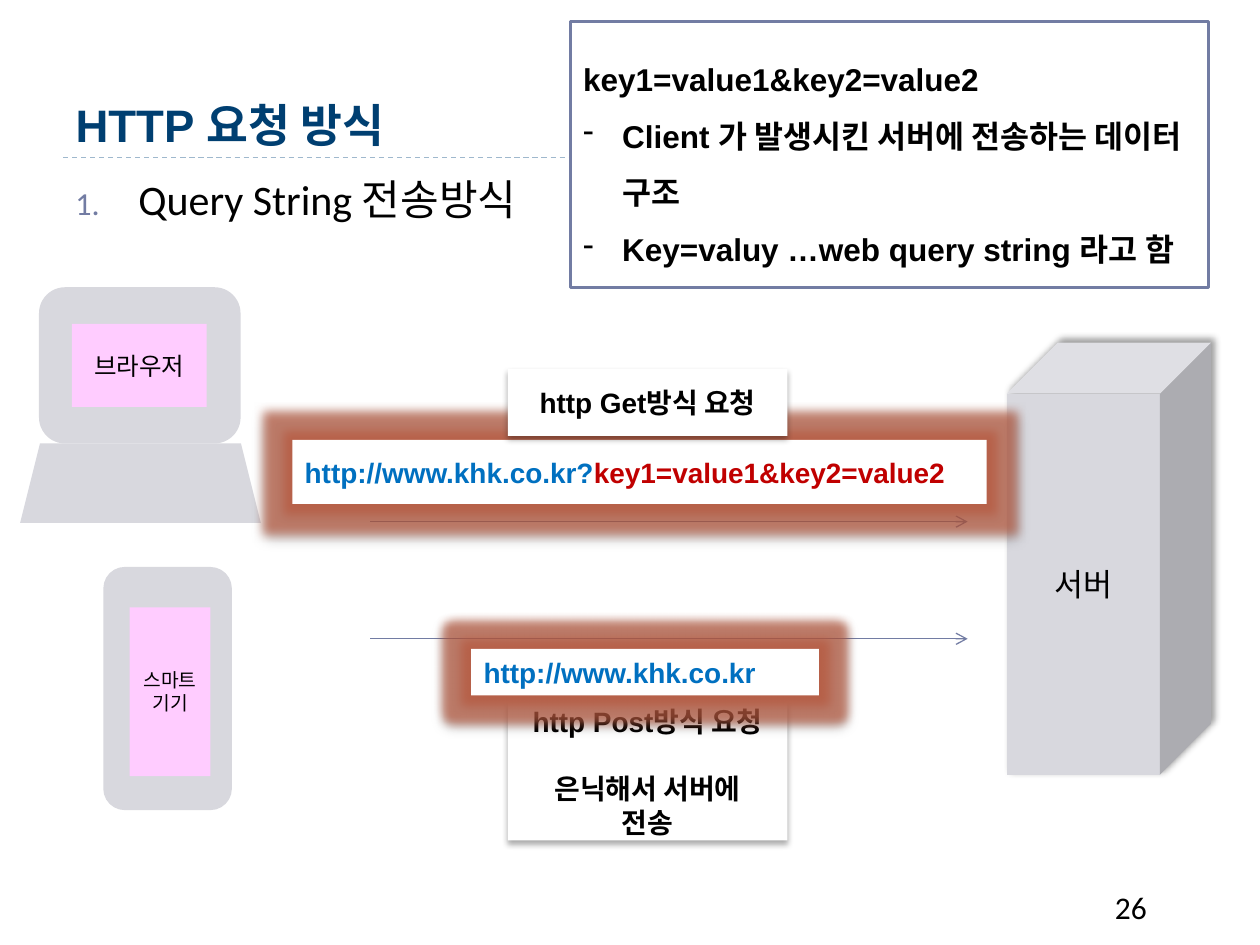
from lxml.etree import SubElement
from pptx import Presentation
from pptx.dml.color import RGBColor
from pptx.enum.dml import MSO_LINE
from pptx.enum.shapes import MSO_CONNECTOR, MSO_SHAPE
from pptx.enum.text import MSO_ANCHOR, PP_ALIGN
from pptx.oxml.ns import qn
from pptx.util import Inches, Pt

BLACK = RGBColor(0x00, 0x00, 0x00)
WHITE = RGBColor(0xFF, 0xFF, 0xFF)
NAVY = RGBColor(0x00, 0x3F, 0x71)
SLATE = RGBColor(0x72, 0x7C, 0xA3)
RULE = RGBColor(0x9F, 0xB8, 0xCD)
GREY = RGBColor(0xD8, 0xD8, 0xDE)
PINK = RGBColor(0xFF, 0xCC, 0xFF)
BLUE = RGBColor(0x00, 0x70, 0xC0)
RED = RGBColor(0xC0, 0x00, 0x00)
GLOW = RGBColor(0xB8, 0x5A, 0x40)


def add_run(paragraph, text, size, color=BLACK, bold=False, font="Arial"):
    run = paragraph.add_run()
    run.text = text
    run.font.name = font
    run.font.size = Pt(size)
    run.font.bold = bold
    run.font.color.rgb = color


def next_paragraph(frame, index):
    return frame.paragraphs[0] if index == 0 else frame.add_paragraph()


def add_bullet(paragraph, indent, tag, **attributes):
    properties = paragraph._p.get_or_add_pPr()
    properties.set("marL", str(Inches(indent)))
    properties.set("indent", str(-Inches(indent)))
    if tag == "a:buAutoNum":
        color = SubElement(properties, qn("a:buClr"))
        SubElement(color, qn("a:srgbClr"), val=str(SLATE))
        SubElement(properties, qn("a:buSzPct"), val="76000")
    SubElement(properties, qn(tag), **attributes)


def add_effect(effects, tag, color, alpha, **attributes):
    effect = SubElement(effects, qn(tag), **attributes)
    fill = SubElement(effect, qn("a:srgbClr"), val=str(color))
    SubElement(fill, qn("a:alpha"), val=str(alpha * 1000))


def add_block(shapes, kind, box, fill, lines=(), size=16, bold=False):
    """Add a filled shape with centred lines of text."""
    block = shapes.add_shape(kind, *(Inches(n) for n in box))
    block.shadow.inherit = False
    block.fill.solid()
    block.fill.fore_color.rgb = fill
    block.line.fill.background()
    frame = block.text_frame
    frame.word_wrap = True
    frame.vertical_anchor = MSO_ANCHOR.MIDDLE
    for index, line in enumerate(lines):
        paragraph = next_paragraph(frame, index)
        paragraph.alignment = PP_ALIGN.CENTER
        add_run(paragraph, line, size, bold=bold)
    return block


def add_shadow(block, alpha, blur, distance, angle):
    effects = block._element.spPr.find(qn("a:effectLst"))
    add_effect(effects, "a:outerShdw", BLACK, alpha, blurRad=str(Pt(blur)),
               dist=str(Pt(distance)), dir=str(angle * 60000), rotWithShape="0")


def add_line(slide, left, right, y, color):
    line = slide.shapes.add_connector(
        MSO_CONNECTOR.STRAIGHT, Inches(left), Inches(y), Inches(right), Inches(y))
    line.line.color.rgb = color
    line.line.width = Pt(0.75)
    SubElement(line._element.spPr, qn("a:effectLst"))
    return line


def add_text_box(slide, box):
    frame = slide.shapes.add_textbox(*(Inches(n) for n in box)).text_frame
    frame.word_wrap = True
    return frame.paragraphs[0]


def add_heading(slide, left, top, width, height):
    title = slide.shapes.title
    title.left, title.top = Inches(left), Inches(top)
    title.width, title.height = Inches(width), Inches(height)
    title.text_frame.vertical_anchor = MSO_ANCHOR.BOTTOM
    paragraph = title.text_frame.paragraphs[0]
    paragraph.alignment = PP_ALIGN.LEFT
    add_run(paragraph, "HTTP 요청 방식", 26, NAVY, True)
    rule = add_line(slide, left, left + width, top + height, RULE)
    rule.line.dash_style = MSO_LINE.DASH


def add_topic(slide, box):
    paragraph = add_text_box(slide, box)
    add_bullet(paragraph, 0.5, "a:buAutoNum", type="arabicPeriod")
    add_run(paragraph, "Query String 전송방식", 24, font="Calibri")


def add_device(slide, body, screen, label, size, base=None):
    shapes = slide.shapes.add_group_shape().shapes
    add_block(shapes, MSO_SHAPE.ROUNDED_RECTANGLE, body, GREY)
    if base:
        add_block(shapes, MSO_SHAPE.TRAPEZOID, base, GREY)
    add_block(shapes, MSO_SHAPE.RECTANGLE, screen, PINK, label, size)


def add_server(slide, box):
    server = add_block(slide.shapes, MSO_SHAPE.CUBE, box, GREY, ["서버"], 18)
    add_shadow(server, 40, 4, 3, 315)


def add_arrow(slide, y):
    arrow = add_line(slide, 2.94, 7.68, y, SLATE)
    SubElement(arrow.line._get_or_add_ln(), qn("a:tailEnd"), type="arrow")


def add_request(slide, box, lines):
    request = add_block(slide.shapes, MSO_SHAPE.RECTANGLE, box, WHITE, lines, bold=True)
    add_shadow(request, 32, 3.5, 2.2, 90)
    return request


def add_address(slide, box, parts):
    address = add_block(slide.shapes, MSO_SHAPE.RECTANGLE, box, WHITE)
    effects = address._element.spPr.find(qn("a:effectLst"))
    add_effect(effects, "a:glow", GLOW, 70, rad=str(Pt(11)))
    add_shadow(address, 32, 3.5, 2.2, 90)
    paragraph = address.text_frame.paragraphs[0]
    paragraph.alignment = PP_ALIGN.LEFT
    for text, color in parts:
        add_run(paragraph, text, 16, color, True)


def add_query_note(slide, box):
    note = add_block(slide.shapes, MSO_SHAPE.RECTANGLE, box, WHITE)
    note.line.color.rgb = SLATE
    note.line.width = Pt(1.5)
    lines = ["key1=value1&key2=value2",
             "Client 가 발생시킨 서버에 전송하는 데이터 구조",
             "Key=valuy …web query string 라고 함"]
    for index, line in enumerate(lines):
        paragraph = next_paragraph(note.text_frame, index)
        if index:
            add_bullet(paragraph, 0.31, "a:buChar", char="-")
        paragraph.alignment = PP_ALIGN.LEFT
        paragraph.line_spacing = 1.5
        add_run(paragraph, line, 18, bold=True)


def main():
    presentation = Presentation()
    presentation.slide_width, presentation.slide_height = Inches(10), Inches(7.5)
    slide = presentation.slides.add_slide(presentation.slide_layouts[5])

    # Heading, topic and page number
    add_heading(slide, 0.5, 0.17, 9, 1.08)
    add_topic(slide, (0.5, 1.33, 9, 5.4))
    add_run(add_text_box(slide, (8.75, 7, 0.83, 0.4)), "26", 18, font="Calibri")

    # Server and clients
    add_server(slide, (7.99, 2.72, 1.62, 3.43))
    add_device(slide, (0.31, 2.28, 1.6, 1.24), (0.57, 2.57, 1.07, 0.66),
               ["브라우저"], 14, base=(0.16, 3.52, 1.91, 0.63))
    add_device(slide, (0.82, 4.5, 1.02, 1.93), (1.03, 4.82, 0.64, 1.34),
               ["스마트", "기기"], 11)

    # GET and POST requests
    add_arrow(slide, 4.14)
    add_address(slide, (2.32, 3.49, 5.51, 0.51),
                [("http://www.khk.co.kr?", BLUE), ("key1=value1&key2=value2", RED)])
    post = add_request(slide, (4.03, 5.58, 2.22, 1.09),
                       ["http Post방식 요청", "은닉해서 서버에", "전송"])
    post.text_frame.paragraphs[1].space_before = Pt(19)
    add_request(slide, (4.03, 2.93, 2.22, 0.53), ["http Get방식 요청"])
    add_arrow(slide, 5.07)
    add_address(slide, (3.74, 5.15, 2.76, 0.37), [("http://www.khk.co.kr", BLUE)])

    # Query string explanation
    add_query_note(slide, (4.53, 0.17, 5.06, 2.11))
    presentation.save("out.pptx")


if __name__ == "__main__":
    main()
